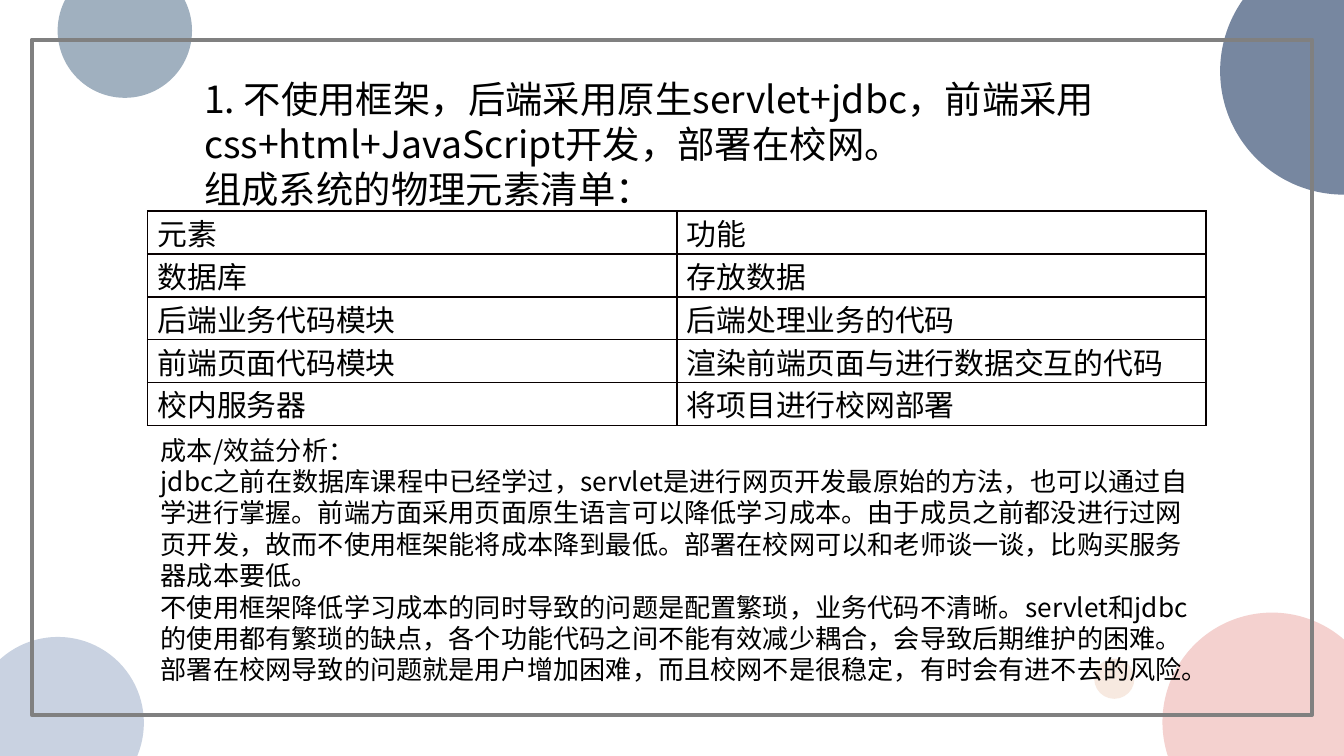
"""Build a slide on a framework-free web project: its elements and its cost analysis."""
from dataclasses import dataclass

from lxml.etree import SubElement
from pptx import Presentation
from pptx.dml.color import RGBColor
from pptx.enum.shapes import MSO_SHAPE as Preset
from pptx.enum.text import MSO_AUTO_SIZE as AutoSize
from pptx.oxml.ns import qn
from pptx.util import Cm, Pt


@dataclass(frozen=True)
class Theme:
    font: str = "Noto Sans CJK SC"
    ink: str = "000000"
    border: str = "080000"
    frame: str = "808080"
    slate: str = "7787A0"
    pink: str = "F4D1CF"
    steel: str = "A0B0BF"
    mist: str = "C9D2E1"
    cream: str = "F7E9E0"
    heading: int = 20
    cell: int = 16
    body: int = 14


theme = Theme()


def style_text(frame, size):
    for para in frame.paragraphs:
        for span in para.runs:
            span.font.size = Pt(size)
            span.font.name = theme.font
            span.font.color.rgb = RGBColor.from_string(theme.ink)
            SubElement(span.font._element, qn("a:ea"), typeface=theme.font)


def add_text(page, left, top, width, height, lines, size):
    box = page.shapes.add_textbox(Cm(left), Cm(top), Cm(width), Cm(height))
    frame = box.text_frame
    frame.word_wrap = True
    frame.auto_size = AutoSize.SHAPE_TO_FIT_TEXT
    frame.text = "\n".join(lines)
    for para in frame.paragraphs:
        para.line_spacing = Pt(size * 1.2)
    style_text(frame, size)


deck = Presentation()
deck.slide_width, deck.slide_height = Cm(25.4), Cm(14.29)
page = deck.slides.add_slide(deck.slide_layouts[6])

circles = [
    (23.06, -0.99, 4.67, theme.slate),
    (21.97, 11.58, 4.14, theme.pink),
    (1.09, -0.69, 2.54, theme.steel),
    (-0.53, 12.04, 3.25, theme.mist),
    (20.68, 12.45, 0.76, theme.cream),
]
for left, top, size, color in circles:
    circle = page.shapes.add_shape(Preset.OVAL, Cm(left), Cm(top), Cm(size), Cm(size))
    circle.shadow.inherit = False
    circle.fill.solid()
    circle.fill.fore_color.rgb = RGBColor.from_string(color)
    circle.line.fill.background()

border = page.shapes.add_shape(Preset.RECTANGLE, Cm(0.6), Cm(0.75), Cm(24.2), Cm(12.76))
border.shadow.inherit = False
border.fill.background()
border.line.color.rgb = RGBColor.from_string(theme.frame)
border.line.width = Pt(2.25)

add_text(page, 3.61, 1.32, 19.3, 2.82, [
    "1. 不使用框架，后端采用原生servlet+jdbc，前端采用css+html+JavaScript开发，部署在校网。",
    "组成系统的物理元素清单：",
], theme.heading)

elements = [
    ("元素", "功能"),
    ("数据库", "存放数据"),
    ("后端业务代码模块", "后端处理业务的代码"),
    ("前端页面代码模块", "渲染前端页面与进行数据交互的代码"),
    ("校内服务器", "将项目进行校网部署"),
]
row_height = 0.81
table = page.shapes.add_table(
    len(elements), 2, Cm(2.79), Cm(3.99), Cm(20), Cm(row_height * len(elements))
).table
table.first_row = table.horz_banding = False
for row, texts in zip(table.rows, elements):
    row.height = Cm(row_height)
    for cell, text in zip(row.cells, texts):
        cell.margin_left = cell.margin_right = Cm(0.19)
        cell.margin_top = cell.margin_bottom = 0
        cell.text_frame.text = text
        style_text(cell.text_frame, theme.cell)
        properties = cell._tc.get_or_add_tcPr()
        for side in ("lnL", "lnR", "lnT", "lnB"):
            edge = SubElement(properties, qn(f"a:{side}"), w=str(Pt(1)))
            SubElement(SubElement(edge, qn("a:solidFill")), qn("a:srgbClr"), val=theme.border)
        cell.fill.background()

add_text(page, 2.79, 8.08, 20, 5.03, [
    "成本/效益分析：",
    "jdbc之前在数据库课程中已经学过，servlet是进行网页开发最原始的方法，也可以通过自学进行掌握。"
    "前端方面采用页面原生语言可以降低学习成本。由于成员之前都没进行过网页开发，"
    "故而不使用框架能将成本降到最低。部署在校网可以和老师谈一谈，比购买服务器成本要低。",
    "不使用框架降低学习成本的同时导致的问题是配置繁琐，业务代码不清晰。"
    "servlet和jdbc的使用都有繁琐的缺点，各个功能代码之间不能有效减少耦合，会导致后期维护的困难。"
    "部署在校网导致的问题就是用户增加困难，而且校网不是很稳定，有时会有进不去的风险。",
], theme.body)

deck.save("out.pptx")
